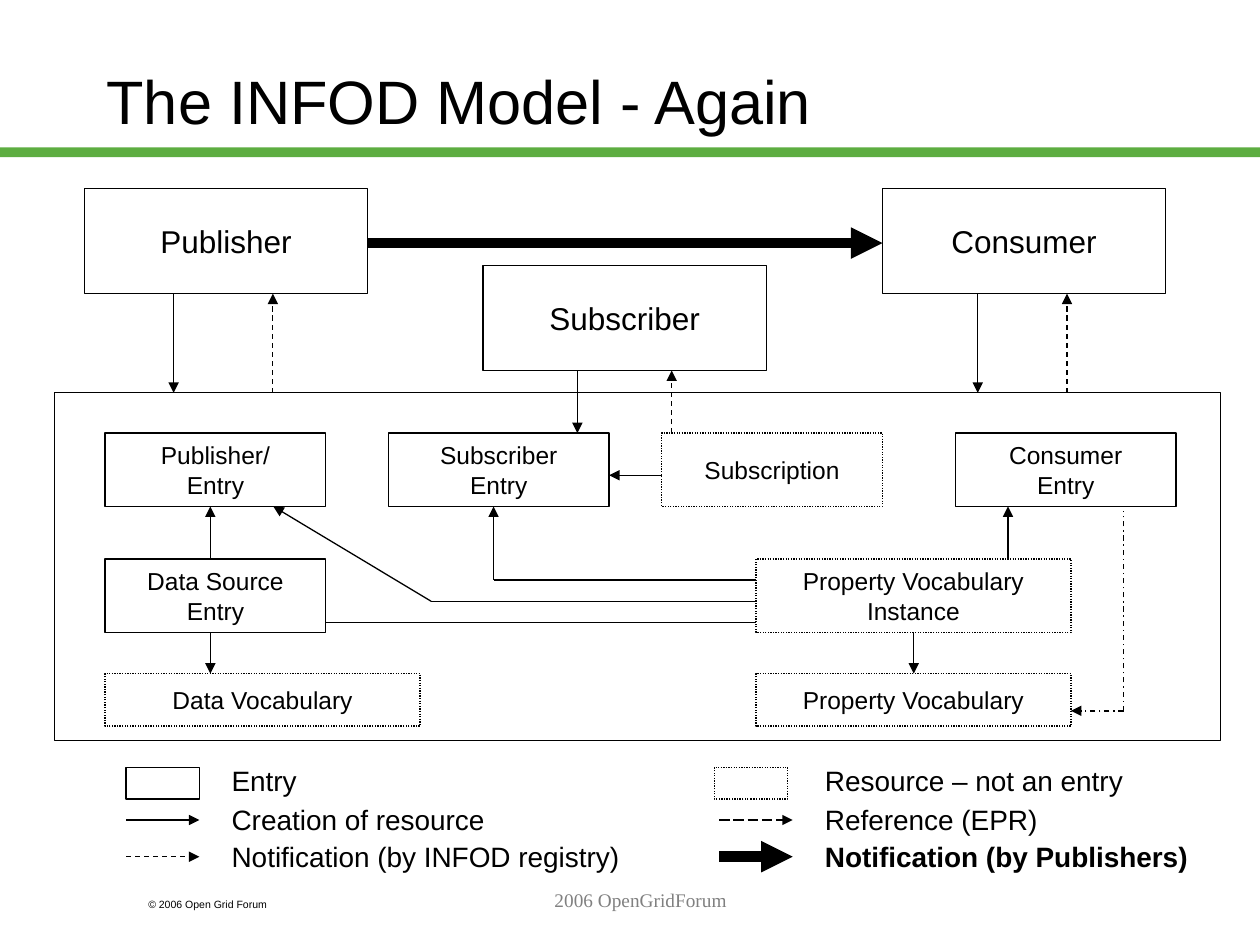
from dataclasses import dataclass

from lxml import etree
from pptx import Presentation
from pptx.dml.color import RGBColor
from pptx.enum.dml import MSO_LINE
from pptx.enum.shapes import MSO_CONNECTOR, MSO_SHAPE
from pptx.enum.text import MSO_ANCHOR, PP_ALIGN
from pptx.oxml.ns import qn
from pptx.util import Cm, Pt

RECT = MSO_SHAPE.RECTANGLE
LINE = MSO_CONNECTOR.STRAIGHT
LEFT, MID = PP_ALIGN.LEFT, PP_ALIGN.CENTER
TOP, CENTER = MSO_ANCHOR.TOP, MSO_ANCHOR.MIDDLE
DASH, LONG = MSO_LINE.DASH, MSO_LINE.LONG_DASH
DOT, MIXED = MSO_LINE.ROUND_DOT, MSO_LINE.DASH_DOT


@dataclass(frozen=True)
class Theme:
    """Colours, fonts, type sizes and line widths."""
    ink: RGBColor = RGBColor(0, 0, 0)
    grey: RGBColor = RGBColor(0x80, 0x80, 0x80)
    green: RGBColor = RGBColor(0x5D, 0xAD, 0x41)
    sans: str = "Arial"
    serif: str = "Times New Roman"
    title: float = 35
    actor: float = 18
    key: float = 16
    node: float = 14
    foot: float = 11
    small: float = 6
    thin: float = 0.75
    thick: float = 6


THEME = Theme()


def write(shape, lines, size, align=LEFT, anchor=TOP, wrap=True,
          font=THEME.sans, color=THEME.ink, bold=False):
    """Fill a shape with one paragraph per line."""
    frame = shape.text_frame
    frame.word_wrap = wrap
    frame.vertical_anchor = anchor
    for i, line in enumerate(lines):
        para = frame.add_paragraph() if i else frame.paragraphs[0]
        para.alignment = align
        run = para.add_run()
        run.text = line
        run.font.size = Pt(size)
        run.font.name = font
        run.font.bold = bold
        run.font.color.rgb = color


def label(slide, box, text, size, **style):
    """Place a line of free text."""
    write(slide.shapes.add_textbox(*map(Cm, box)), [text], size, **style)


def node(slide, box, lines=(), size=THEME.node, dash=None):
    """Draw an outlined box with centred text."""
    shape = slide.shapes.add_shape(RECT, *map(Cm, box))
    shape.shadow.inherit = False
    shape.fill.background()
    shape.line.color.rgb = THEME.ink
    shape.line.width = Pt(THEME.thin)
    if dash:
        shape.line.dash_style = dash
    if lines:
        write(shape, lines, size, MID, CENTER, wrap=False)


def link(slide, box, ends, dash=None, head=True, width=THEME.thin):
    """Draw a line between two points measured from the box corner."""
    x, y = box[:2]
    x1, y1, x2, y2 = ends
    line = slide.shapes.add_connector(
        LINE, Cm(x + x1), Cm(y + y1), Cm(x + x2), Cm(y + y2))
    line.line.color.rgb = THEME.ink
    line.line.width = Pt(width)
    if dash:
        line.line.dash_style = dash
    if head:
        etree.SubElement(line.line._get_or_add_ln(), qn("a:tailEnd"), type="triangle")
    etree.SubElement(line._element.spPr, qn("a:effectLst"))


def header(slide, box):
    """Place the title above its green rule."""
    x, y, w, h = box
    rule = slide.shapes.add_shape(RECT, Cm(x), Cm(y + h - 0.2), Cm(w), Cm(0.2))
    rule.shadow.inherit = False
    rule.fill.solid()
    rule.fill.fore_color.rgb = THEME.green
    rule.line.fill.background()
    label(slide, (x + 1.9, y + 0.43, 21.6, 3.18), "The INFOD Model - Again",
          THEME.title, anchor=CENTER)


def actors(slide, box):
    """Draw the three actors and their arrows to the registry."""
    x, y, w, h = box
    wide, tall = 5.71, 2.12
    for dx, dy, name in ((0, 0, "Publisher"), (w - wide, 0, "Consumer"),
                         (8.04, 1.55, "Subscriber")):
        node(slide, (x + dx, y + dy, wide, tall), [name], THEME.actor)
    link(slide, box, (wide, 1.1, w - wide, 1.1), width=THEME.thick)
    for down, up, top, base in ((1.8, 3.8, tall, h), (18.01, 19.81, tall, h),
                                (9.94, 11.84, 3.67, 4.93)):
        link(slide, box, (down, top, down, base))
        link(slide, box, (up, base, up, top), DASH)


def registry(slide, box):
    """Draw the registry frame with its entries and references."""
    x, y = box[:2]
    node(slide, box)
    slim, wide, tall, low = 4.45, 6.35, 1.48, 1.06
    one, two, three = 0.81, 3.35, 5.66
    left, right = 1.02, 14.14
    for dx, dy, w, h, lines, dash in (
        (left, one, slim, tall, ["Publisher/", "Entry"], None),
        (6.73, one, slim, tall, ["Subscriber", "Entry"], None),
        (12.24, one, slim, tall, ["Subscription"], DOT),
        (18.16, one, slim, tall, ["Consumer", "Entry"], None),
        (left, two, slim, tall, ["Data Source", "Entry"], None),
        (right, two, wide, tall, ["Property Vocabulary", "Instance"], DOT),
        (left, three, wide, low, ["Data Vocabulary"], DOT),
        (right, three, wide, low, ["Property Vocabulary"], DOT),
    ):
        node(slide, (x + dx, y + dy, w, h), lines, dash=dash)
    high, base = one + tall, two + tall
    for ends, dash, head in (
        ((17.32, base, 17.32, three), None, True),
        ((3.14, base, 3.14, three), None, True),
        ((3.14, two, 3.14, high), None, True),
        ((19.22, two, 19.22, high), None, True),
        ((12.24, 1.66, 6.73 + slim, 1.66), None, True),
        ((right, 4.63, left + slim, 4.63), None, False),
        ((right, 4.2, 7.59, 4.2), None, False),
        ((7.59, 4.2, 4.41, high), None, True),
        ((right, 3.77, 8.85, 3.77), None, False),
        ((8.85, 3.77, 8.85, high), None, True),
        ((21.55, 6.41, right + wide, 6.41), MIXED, True),
        ((21.55, 6.41, 21.55, 2.39), MIXED, False),
    ):
        link(slide, box, ends, dash, head)


def legend(slide, box):
    """Explain the box and line styles in two columns."""
    x, y = box[:2]
    size = 1.48
    for dx, gap, dash, name, wide in (
        (0, 1.88, None, "Entry", 2.3),
        (11.86, 1.98, DOT, "Resource – not an entry", 7.2),
    ):
        node(slide, (x + dx, y + 0.2, size, 0.64), dash=dash)
        label(slide, (x + dx + gap, y, wide, 0.94), name, THEME.key)
    for dx, dy, dash, width, name, wide in (
        (0, 0.78, None, THEME.thin, "Creation of resource", 6),
        (0, 1.52, DASH, THEME.thin, "Notification (by INFOD registry)", 8.7),
        (11.96, 0.78, LONG, THEME.thin, "Reference (EPR)", 5.2),
        (11.96, 1.52, None, THEME.thick, "Notification (by Publishers)", 8.2),
    ):
        mark = dy + 0.48
        link(slide, box, (dx, mark, dx + size, mark), dash, width=width)
        label(slide, (x + dx + 1.88, y + dy, wide, 0.94), name, THEME.key,
              bold=width == THEME.thick)


def footer(slide, box):
    """Place the copyright line and the centred footer."""
    x, y, w, h = box
    label(slide, (x, y + 0.2, 3.81, 0.51), "© 2006 Open Grid Forum", THEME.small)
    label(slide, (x + 2.77, y, w - 2.77, h), "2006 OpenGridForum", THEME.foot,
          align=MID, font=THEME.serif, color=THEME.grey)


def main():
    """Build and save the slide."""
    deck = Presentation()
    deck.slide_width, deck.slide_height = Cm(25.4), Cm(19.05)
    slide = deck.slides.add_slide(deck.slide_layouts[6])
    header(slide, (0, 0, 25.4, 3.17))
    actors(slide, (1.7, 3.8, 21.8, 4.12))
    registry(slide, (1.1, 7.92, 23.5, 7.01))
    legend(slide, (2.54, 15.27, 21.66, 2.46))
    footer(slide, (2.74, 17.78, 17.58, 1.27))
    deck.save("out.pptx")


if __name__ == "__main__":
    main()
